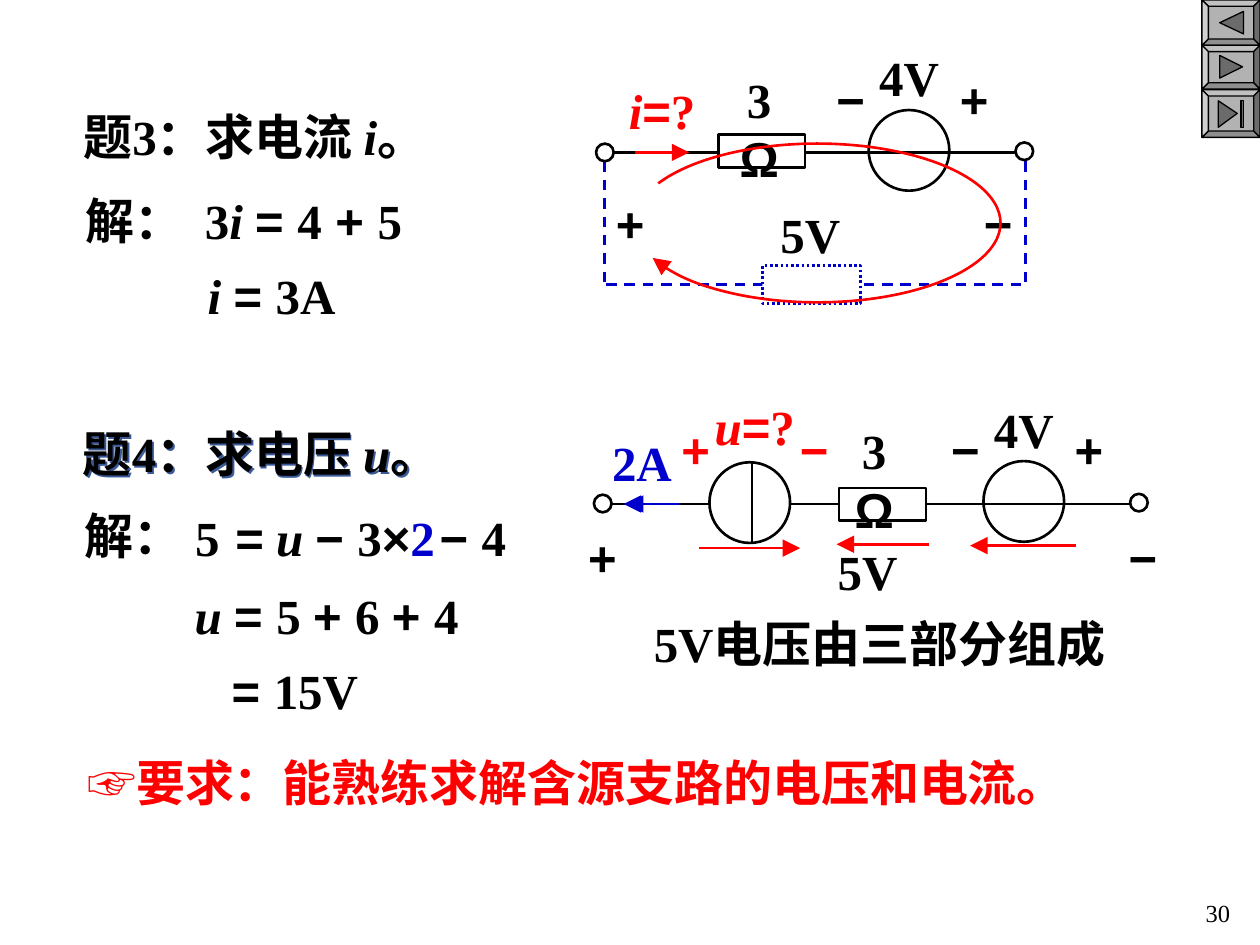
"""Build a slide with two worked circuit exercises."""
from lxml import etree
from pptx import Presentation
from pptx.dml.color import RGBColor
from pptx.enum.dml import MSO_LINE
from pptx.enum.shapes import MSO_CONNECTOR, MSO_SHAPE
from pptx.enum.text import MSO_ANCHOR, PP_ALIGN
from pptx.oxml.ns import qn
from pptx.util import Pt

BLACK = RGBColor(0, 0, 0)
WHITE = RGBColor(255, 255, 255)
RED = RGBColor(255, 0, 0)
BLUE = RGBColor(0, 0, 0xCC)
FACE = RGBColor(0xB2, 0xB2, 0xB2)
LIGHT = RGBColor(0xC1, 0xC1, 0xC1)
LIGHTER = RGBColor(0xD0, 0xD0, 0xD0)
SHADE = RGBColor(0x8E, 0x8E, 0x8E)
DARK = RGBColor(0x6B, 0x6B, 0x6B)
ROMAN, ARIAL = "Times New Roman", "Arial"
HEAD = {"type": "triangle", "w": "lg", "len": "lg"}

deck = Presentation()
deck.slide_width, deck.slide_height = Pt(720), Pt(540)
page = deck.slides.add_slide(deck.slide_layouts[6])


def write(left, top, width, runs, color=BLACK, align=PP_ALIGN.LEFT, wrap=True,
          size=28, height=41, anchor=MSO_ANCHOR.TOP):
    box = page.shapes.add_textbox(Pt(left), Pt(top), Pt(width), Pt(height))
    box.text_frame.word_wrap = wrap
    box.text_frame.vertical_anchor = anchor
    para = box.text_frame.paragraphs[0]
    para.alignment = align
    for text, font, *own_color in runs:
        span = para.add_run()
        span.text = text
        span.font.name = font
        span.font.size = Pt(size)
        span.font.bold = size == 28
        span.font.italic = text.strip() in ("i", "u")
        span.font.color.rgb = own_color[0] if own_color else color
    return box


def connect(x1, y1, x2, y2, color=BLACK, arrow=False, dash=None):
    wire = page.shapes.add_connector(MSO_CONNECTOR.STRAIGHT, Pt(x1), Pt(y1), Pt(x2), Pt(y2))
    wire.line.color.rgb = color
    wire.line.width = Pt(1.5)
    if dash:
        wire.line.dash_style = dash
    if arrow:
        etree.SubElement(wire.line._get_or_add_ln(), qn("a:tailEnd"), HEAD)
    etree.SubElement(wire._element.spPr, qn("a:effectLst"))


left, right, bevel = 686.9, 720, 3.6
buttons = [
    (0, 25.9, [[(697, 13), (710.6, 6.5), (710.6, 19.4)]]),
    (25.9, 50.9, [[(697, 31.7), (710, 38.2), (697, 44.6)]]),
    (51.3, 78.5, [[(707, 64.8), (696.2, 72.7), (696.2, 57.6)],
                  [(709.2, 57.6), (709.2, 72.7), (710.6, 72.7), (710.6, 57.6)]]),
]
for top, bottom, icons in buttons:
    outer = [(left, top), (right, top), (right, bottom), (left, bottom)]
    inner = [(left + bevel, top + bevel), (right - bevel, top + bevel),
             (right - bevel, bottom - bevel), (left + bevel, bottom - bevel)]
    parts = [(outer, FACE)]
    for side, tone in enumerate((LIGHT, DARK, SHADE, LIGHTER)):
        after = (side + 1) % 4
        parts.append(([outer[side], outer[after], inner[after], inner[side]], tone))
    parts += [(icon, DARK) for icon in icons]
    for corners, tone in parts:
        points = [(Pt(x), Pt(y)) for x, y in corners]
        builder = page.shapes.build_freeform(*points[0], scale=1.0)
        builder.add_line_segments(points[1:], close=True)
        facet = builder.convert_to_shape()
        facet.shadow.inherit = False
        facet.fill.solid()
        facet.fill.fore_color.rgb = tone
        facet.line.color.rgb = BLACK
        facet.line.width = Pt(0.75)

connect(350.6, 87.1, 583.2, 87.1)
connect(349.2, 288, 648.7, 288)
connect(345.6, 92.2, 345.6, 163.4, BLUE, dash=MSO_LINE.DASH)
connect(346.3, 162.7, 586.8, 162.7, BLUE, dash=MSO_LINE.DASH)
connect(586.1, 92.2, 586.1, 162.7, BLUE, dash=MSO_LINE.DASH)
NODE, RESISTOR, SOURCE = (10.1, 10.1), (49.7, 18.7), (46.1, 46.1)
components = [
    (580.3, 81.4, NODE, True), (340.6, 82.1, NODE, True),
    (410.4, 77, RESISTOR, True), (496.4, 62.9, SOURCE, False),
    (645.8, 282.2, NODE, True), (339.4, 282.7, NODE, True),
    (479.5, 278.9, RESISTOR, True), (562, 263.5, SOURCE, False),
    (405.4, 264.2, SOURCE, True), (435.6, 151.9, (56.2, 21.6), True),
]
for x, y, (width, height), filled in components:
    kind = MSO_SHAPE.OVAL if width == height else MSO_SHAPE.RECTANGLE
    part = page.shapes.add_shape(kind, Pt(x), Pt(y), Pt(width), Pt(height))
    part.shadow.inherit = False
    if filled:
        part.fill.solid()
        part.fill.fore_color.rgb = WHITE
    else:
        part.fill.background()
    part.line.color.rgb = BLACK
    part.line.width = Pt(1.5)
part.line.color.rgb = BLUE
part.line.dash_style = MSO_LINE.ROUND_DOT
connect(429.8, 264.2, 429.8, 310.3)

for x1, x2, y, color in [
    (362.9, 393.8, 87.1, RED), (388.8, 357.8, 288, BLUE), (387.4, 356.4, 288, BLUE),
    (399.6, 457.2, 313.2, RED), (530.6, 478.1, 311, RED), (614.9, 554.4, 311.8, RED),
]:
    connect(x1, y, x2, y, color, arrow=True)

PLUS, MINUS = [("+", ARIAL)], [("−", ARIAL)]
FOUR, FIVE, AMPS = [("4V", ROMAN)], [("5V", ROMAN)], [("2A", ROMAN)]
OHMS = [("3", ROMAN), ("Ω", ARIAL)]
for x, y, width, runs, color in [
    (541.4, 36, 30.2, PLUS, BLACK), (470.9, 36, 23.8, MINUS, BLACK),
    (489.4, 23.8, 60, FOUR, BLACK), (410.8, 36.2, 46, OHMS, BLACK),
    (349.2, 42.5, 58.3, [("i", ROMAN), ("=", ARIAL), ("?", ROMAN)], RED),
    (555.1, 107.3, 23.8, MINUS, BLACK), (344.9, 107.3, 30.2, PLUS, BLACK),
    (433, 113.3, 60, FIVE, BLACK),
    (607, 236.2, 30.2, PLUS, BLACK), (536.4, 236.2, 23.8, MINUS, BLACK),
    (555, 224.6, 60, FOUR, BLACK), (476.5, 236.9, 46, OHMS, BLACK),
    (336.8, 243.4, 60, AMPS, BLUE),
    (637.9, 298.1, 23.8, MINUS, BLACK), (329, 298.1, 30.2, PLUS, BLACK),
    (465.7, 306, 60, FIVE, BLACK),
    (450, 236.2, 23.8, MINUS, RED), (382.3, 236.2, 30.2, PLUS, RED),
    (398.2, 223.2, 66.2, [("u", ROMAN), ("=", ARIAL), ("?", ROMAN)], RED),
]:
    write(x, y, width, runs, color, PP_ALIGN.CENTER, wrap=runs is OHMS)

for start, end in [(194, 0), (0, 168)]:
    arc = page.shapes.add_shape(MSO_SHAPE.ARC, Pt(362.2), Pt(82.1), Pt(209.5), Pt(90.7))
    arc.adjustments[0], arc.adjustments[1] = start * 0.6, end * 0.6
    arc.shadow.inherit = False
    arc.fill.background()
    arc.line.color.rgb = RED
    arc.line.width = Pt(1.5)
etree.SubElement(arc.line._get_or_add_ln(), qn("a:tailEnd"), HEAD)

write(40.6, 57.4, 265.7, [("题3：求电流 ", ROMAN), ("i", ROMAN), ("。", ROMAN)],
      anchor=MSO_ANCHOR.MIDDLE)
question = write(40.3, 238.3, 257.8, [("题4：求电压 ", ROMAN), ("u", ROMAN), ("。", ROMAN)])
effects = etree.SubElement(question._element.spPr, qn("a:effectLst"))
shadow = etree.SubElement(effects, qn("a:outerShdw"), dist=str(Pt(1.5)), dir="2700000")
etree.SubElement(shadow, qn("a:srgbClr"), val="3B5998")
for x, y, width, runs in [
    (41.8, 105.1, 82.8, [("解：", ROMAN)]),
    (110, 105.5, 150.5, [("3", ROMAN), ("i ", ROMAN), ("= ", ARIAL), ("4", ROMAN),
                         (" + ", ARIAL), ("5", ROMAN)]),
    (111.6, 148.3, 133.2, [("i ", ROMAN), ("= ", ARIAL), ("3A", ROMAN)]),
    (41, 285.1, 82.8, [("解：", ROMAN)]),
    (104.4, 286.6, 55.4, [("5", ROMAN)]),
    (127.4, 286.6, 71.3, [("=", ARIAL), (" u", ROMAN)]),
    (173.1, 286.6, 96.5, [("− ", ARIAL), ("3", ROMAN), ("×", ARIAL), ("2", ROMAN, BLUE)]),
    (244.1, 286.6, 67, [("− ", ARIAL), ("4", ROMAN)]),
    (104.2, 331.2, 199.4, [("u ", ROMAN), ("= ", ARIAL), ("5 ", ROMAN), ("+ ", ARIAL),
                           ("6 ", ROMAN), ("+ ", ARIAL), ("4", ROMAN)]),
    (125.3, 373.7, 131.8, [("= ", ARIAL), ("15V", ROMAN)]),
]:
    write(x, y, width, runs)
summary = write(366.5, 343.6, 303.8, [("5V电压由三部分组成", ROMAN)], height=44.6)
summary.text_frame.paragraphs[0].line_spacing = 1.1
write(42.8, 426.5, 612, [("☞", ARIAL), ("要求：能熟练求解含源支路的电压和电流。", ROMAN)], RED)
write(560.2, 509.8, 149.8, [("30", ROMAN)], align=PP_ALIGN.RIGHT, size=14, height=28.8)

deck.save("out.pptx")
